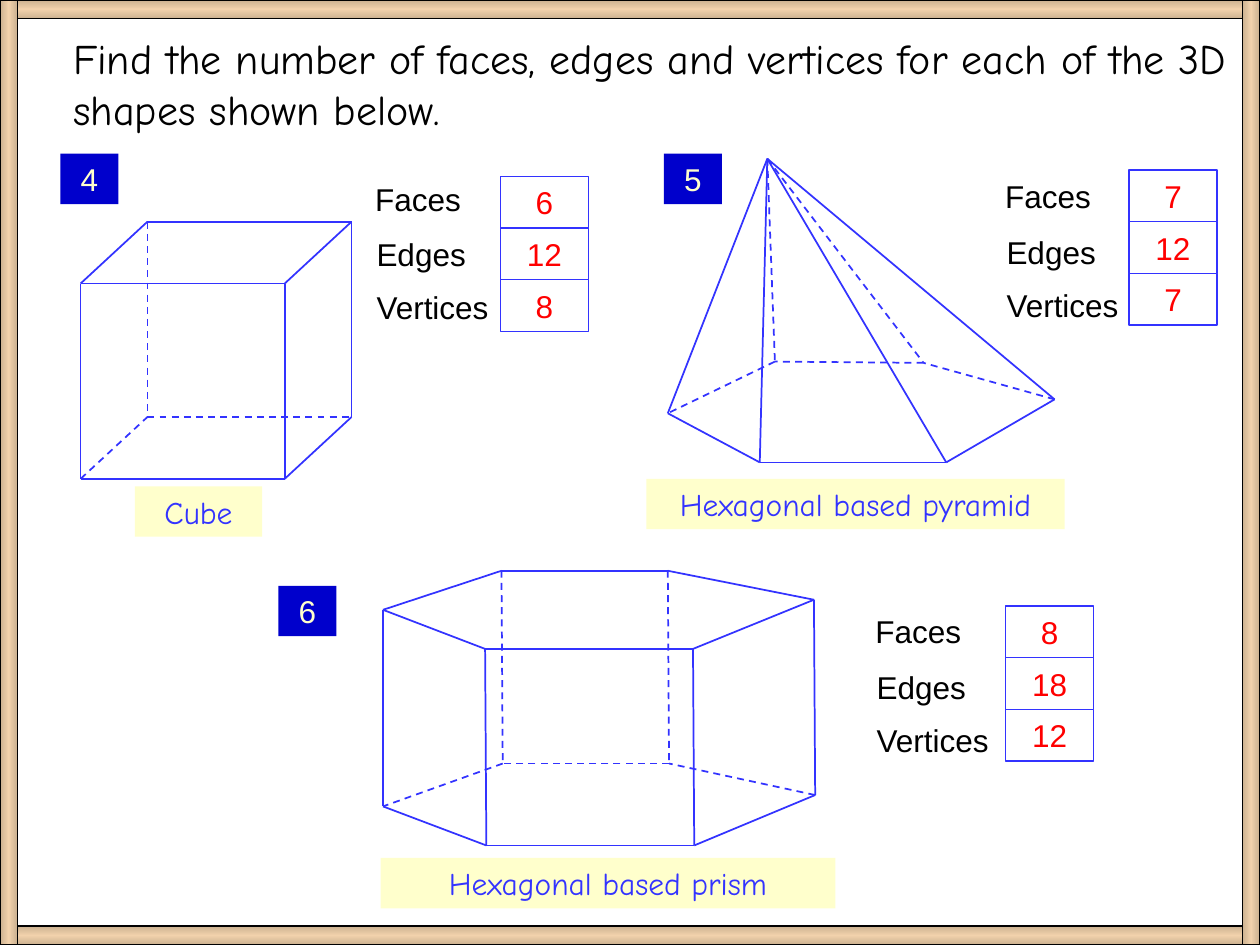
from copy import deepcopy
from dataclasses import dataclass

from lxml.etree import SubElement
from pptx import Presentation
from pptx.dml.color import RGBColor
from pptx.enum.dml import MSO_LINE
from pptx.enum.shapes import MSO_CONNECTOR, MSO_SHAPE
from pptx.enum.text import MSO_ANCHOR, MSO_AUTO_SIZE, PP_ALIGN
from pptx.oxml.ns import qn
from pptx.util import Inches, Pt


@dataclass(frozen=True)
class Theme:
    ink: str = "000000"
    paper: str = "FFFFFF"
    edge: str = "3333FF"
    badge: str = "0000CC"
    cream: str = "FFFFCC"
    answer: str = "FF0000"
    frame: tuple = ("CAB090", "F2D2AC", "CAB090")
    plain_font: str = "Arial"
    hand_font: str = "Comic Neue"
    title_size: int = 24
    text_size: int = 18


THEME = Theme()
LABELS = ("Faces", "Edges", "Vertices")
LABEL_OFFSETS = ((0, 0), (0.01, 0.44), (0.01, 0.86))
LABEL_WIDTHS = (0.96, 0.96, 1.14)
ANSWER_WIDTH, ANSWER_HEIGHT = 0.7, 0.41
LINE_HEIGHT = 0.4

# Each solid: corner points, then visible and hidden edges as corner pairs
CUBE = (
    {"A": (0.64, 2.25), "B": (2.26, 2.25), "C": (2.79, 1.76), "D": (1.17, 1.76),
     "E": (0.64, 3.8), "F": (2.26, 3.8), "G": (2.79, 3.31), "H": (1.17, 3.31)},
    "AB BC CD DA AE BF CG EF FG",
    "EH HG DH",
)
PYRAMID = (
    {"T": (6.09, 1.26), "A": (5.3, 3.28), "B": (6.03, 3.67), "C": (7.51, 3.67),
     "D": (8.37, 3.17), "E": (7.33, 2.88), "F": (6.15, 2.87)},
    "AB BC CD TA TB TC TD",
    "DE EF FA TE TF",
)
PRISM = (
    {"A": (3.04, 4.84), "B": (3.85, 5.15), "C": (5.5, 5.15),
     "D": (6.46, 4.76), "E": (5.3, 4.53), "F": (3.98, 4.53),
     "G": (3.04, 6.4), "H": (3.86, 6.71), "I": (5.51, 6.71),
     "J": (6.47, 6.31), "K": (5.31, 6.06), "L": (3.99, 6.06)},
    "AB BC CD DE EF FA AG BH CI DJ GH HI IJ",
    "JK KL LG EK FL",
)


def rgb(value):
    return RGBColor.from_string(value)


def write(shape, text, color, font, size=THEME.text_size,
          align=PP_ALIGN.CENTER, anchor=MSO_ANCHOR.MIDDLE):
    frame = shape.text_frame
    frame.text = text
    frame.word_wrap = True
    frame.auto_size = MSO_AUTO_SIZE.NONE
    frame.vertical_anchor = anchor
    paragraph = frame.paragraphs[0]
    paragraph.alignment = align
    for run in paragraph.runs:
        run.font.name = font
        run.font.size = Pt(size)
        run.font.color.rgb = rgb(color)


def add_box(slide, left, top, width, height, line=None):
    box = slide.shapes.add_shape(MSO_SHAPE.RECTANGLE, *map(Inches, (left, top, width, height)))
    box.shadow.inherit = False
    if line:
        box.line.color.rgb = rgb(line)
        box.line.width = Pt(0.75)
    else:
        box.line.fill.background()
    return box


def add_text_box(slide, bounds, text, fill, color, font, line=None):
    box = add_box(slide, *bounds, line=line)
    box.fill.solid()
    box.fill.fore_color.rgb = rgb(fill)
    write(box, text, color, font)


def add_edge(slide, start, end, hidden):
    edge = slide.shapes.add_connector(MSO_CONNECTOR.STRAIGHT, *map(Inches, start + end))
    edge.line.color.rgb = rgb(THEME.edge)
    edge.line.width = Pt(1)
    if hidden:
        edge.line.dash_style = MSO_LINE.DASH
    SubElement(edge._element.spPr, qn("a:effectLst"))


def add_solid(slide, solid):
    corners, visible, hidden = solid
    for edges, is_hidden in ((hidden, True), (visible, False)):
        for start, end in edges.split():
            add_edge(slide, corners[start], corners[end], is_hidden)


def add_counts(slide, labels_at, answers_at, counts):
    for label, (dx, dy), width in zip(LABELS, LABEL_OFFSETS, LABEL_WIDTHS):
        caption = slide.shapes.add_textbox(
            Inches(labels_at[0] + dx), Inches(labels_at[1] + dy),
            Inches(width), Inches(LINE_HEIGHT))
        write(caption, label, THEME.ink, THEME.plain_font,
              align=PP_ALIGN.LEFT, anchor=MSO_ANCHOR.TOP)
    left, top = answers_at
    for row, count in enumerate(counts):
        bounds = (left, top + row * ANSWER_HEIGHT, ANSWER_WIDTH, ANSWER_HEIGHT)
        add_text_box(slide, bounds, str(count), THEME.paper, THEME.answer,
                     THEME.plain_font, line=THEME.edge)


def add_question(slide, number, badge_at, solid, name, name_at, name_width,
                 labels_at, answers_at, counts):
    add_text_box(slide, (*badge_at, 0.46, LINE_HEIGHT), str(number),
                 THEME.badge, THEME.cream, THEME.plain_font)
    add_text_box(slide, (*name_at, name_width, LINE_HEIGHT), name,
                 THEME.cream, THEME.edge, THEME.hand_font)
    add_counts(slide, labels_at, answers_at, counts)
    add_solid(slide, solid)


def add_frame_bar(slide, bounds, angle):
    bar = add_box(slide, *bounds, line=THEME.ink)
    bar.fill.gradient()
    bar.fill.gradient_angle = angle
    stop_list = bar._element.spPr.find(qn("a:gradFill")).find(qn("a:gsLst"))
    stop_list.append(deepcopy(stop_list[0]))
    for stop, position, color in zip(bar.fill.gradient_stops, (0, 0.5, 1), THEME.frame):
        stop.position = position
        stop.color.rgb = rgb(color)


def add_title(slide, text):
    title = slide.shapes.title
    title.left, title.top = Inches(0.48), Inches(0.21)
    title.width, title.height = Inches(9.52), Inches(0.9)
    write(title, text, THEME.ink, THEME.hand_font, THEME.title_size,
          PP_ALIGN.LEFT, MSO_ANCHOR.TOP)


def main():
    deck = Presentation()
    deck.slide_width, deck.slide_height = Inches(10), Inches(7.5)
    slide = deck.slides.add_slide(deck.slide_layouts[5])

    add_title(slide, "Find the number of faces, edges and vertices "
                     "for each of the 3D shapes shown below.")

    # Numbered questions with their answers
    add_question(slide, 4, (0.48, 1.22), CUBE, "Cube", (1.07, 3.86), 1.01,
                 (2.88, 1.38), (3.97, 1.4), (6, 12, 8))
    add_question(slide, 5, (5.27, 1.22), PYRAMID, "Hexagonal based pyramid",
                 (5.13, 3.8), 3.32, (7.88, 1.36), (8.96, 1.35), (7, 12, 7))
    add_question(slide, 6, (2.21, 4.65), PRISM, "Hexagonal based prism",
                 (3.02, 6.81), 3.61, (6.85, 4.81), (7.98, 4.81), (8, 18, 12))

    # Wooden frame
    for top in (0, 7.35):
        add_frame_bar(slide, (0, top, 10, 0.15), 90)
    for left in (0, 9.86):
        add_frame_bar(slide, (left, 0, 0.14, 7.5), 0)

    deck.save("out.pptx")


if __name__ == "__main__":
    main()
